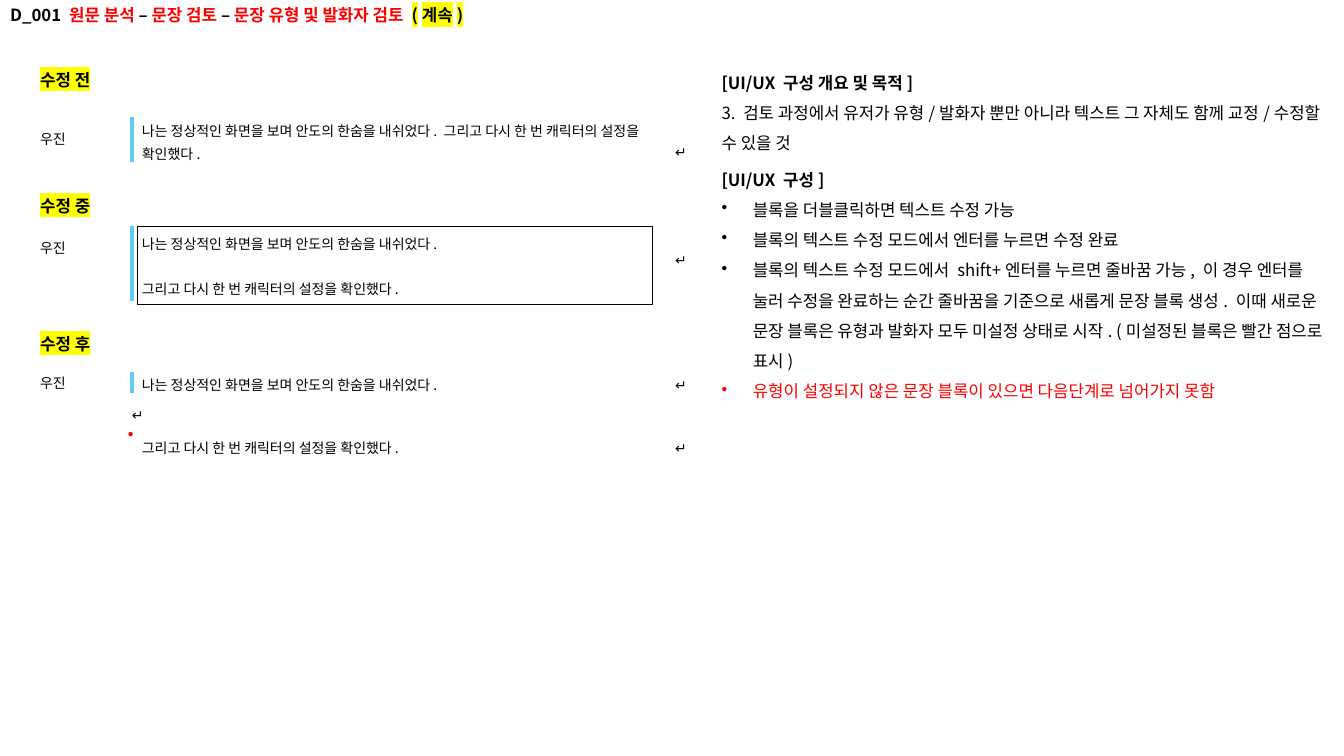
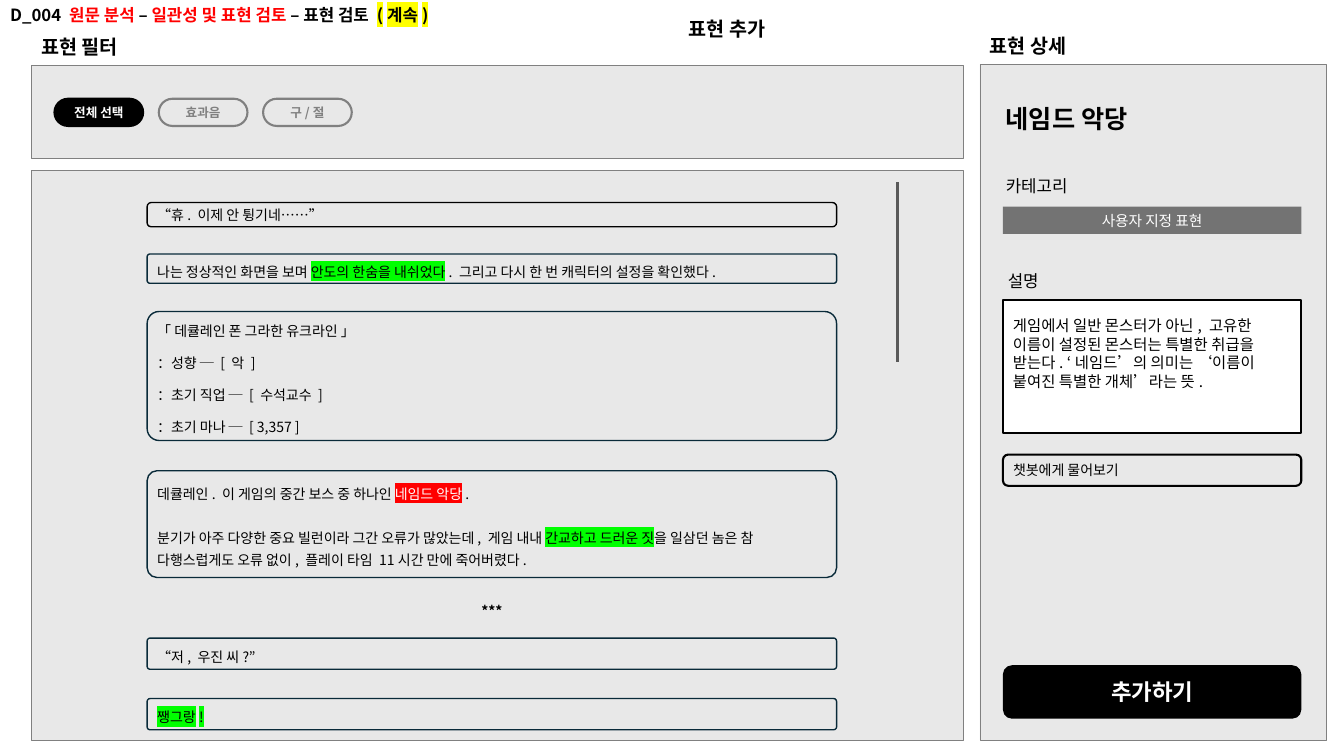
from pptx import Presentation
from pptx.dml.color import RGBColor as RGB
from pptx.enum.shapes import MSO_CONNECTOR as Conn, MSO_SHAPE as Geo
from pptx.enum.text import MSO_ANCHOR as Anchor, MSO_AUTO_SIZE as Fit, PP_ALIGN as Align
from pptx.oxml.ns import qn
from pptx.util import Inches, Pt
from lxml.etree import SubElement as Sub

FONT = "Noto Sans CJK KR"
BLACK = RGB(0x00, 0x00, 0x00)
WHITE = RGB(0xFF, 0xFF, 0xFF)
RED = RGB(0xFF, 0x00, 0x00)
YELLOW = RGB(0xFF, 0xFF, 0x00)
GREEN = RGB(0x00, 0xFF, 0x00)
SKY = RGB(0x61, 0xCB, 0xF4)
PANEL = RGB(0xE8, 0xE8, 0xE8)
GRAY = RGB(0x80, 0x80, 0x80)
DARK = RGB(0x59, 0x59, 0x59)
NAVY = RGB(0x09, 0x2A, 0x39)

# The grid has ten columns and ten rows to the inch
COLS, ROWS = 133.33, 75
LEAD = Pt(16)
BEND = 0.093


def cell(n):
    return Inches(n / 10)


def place(box):
    return [cell(n) for n in box]


# Text: a paragraph is a string or a list of (text, colour, highlight)
def write(frame, paras, size=10, color=BLACK, bold=False, align=Align.LEFT,
          anchor=Anchor.TOP, lead=None, gap=0):
    frame.word_wrap = True
    frame.auto_size = Fit.NONE
    frame.vertical_anchor = anchor
    for i, runs in enumerate(paras):
        para = frame.add_paragraph() if i else frame.paragraphs[0]
        para.alignment = align
        if lead:
            para.line_spacing = lead
        if i and gap:
            para.space_before = Pt(gap)
        font = para.font
        font.size, font.bold, font.name = Pt(size), bold, FONT
        font.color.rgb = color
        Sub(para._p.pPr.find(qn("a:defRPr")), qn("a:ea"), typeface=FONT)
        for text, tint, mark in [(runs, None, None)] if isinstance(runs, str) else runs:
            run = para.add_run()
            run.text = text
            if tint is not None:
                run.font.color.rgb = tint
            if mark is not None:
                glow = Sub(run._r.get_or_add_rPr(), qn("a:highlight"))
                Sub(glow, qn("a:srgbClr"), val=str(mark))


def label(slide, box, *paras, **style):
    frame = slide.shapes.add_textbox(*place(box)).text_frame
    write(frame, paras, **style)
    return frame


def shape(slide, box, geo=Geo.RECTANGLE, fill=None, line=None, width=1, bend=None):
    item = slide.shapes.add_shape(geo, *place(box))
    item.shadow.inherit = False
    if bend is not None:
        item.adjustments[0] = bend
    if fill is None:
        item.fill.background()
    else:
        item.fill.solid()
        item.fill.fore_color.rgb = fill
    if line is None:
        item.line.fill.background()
    else:
        item.line.color.rgb = line
        item.line.width = Pt(width)
    return item


def bar(slide, x, y, tall, color, width):
    item = slide.shapes.add_connector(Conn.STRAIGHT, *place((x, y, x, y + tall)))
    item.line.color.rgb = color
    item.line.width = Pt(width)
    Sub(item._element.spPr, qn("a:effectLst"))


def start(deck, runs):
    slide = deck.slides.add_slide(deck.slide_layouts[5])
    title = slide.shapes.title
    title.left, title.top, title.width, title.height = place((0, 0, COLS / 2, 3))
    write(title.text_frame, [runs], size=12, bold=True)
    return slide


# Slide 1: one editing stage and one block of notes
def stage(slide, box, name, row, tall, talk, enter, paras, gap=0, frame=False):
    x, y, w, _ = box
    label(slide, (x, y, 15, 3), [(name, None, YELLOW)], size=12, bold=True)
    top = y + row
    label(slide, (x, top + talk, 8, 2.7), "우진")
    if frame:
        shape(slide, (x + 10.6, top + 0.1, 51.1, 7.7), line=BLACK, width=0.75)
    sentence(slide, (x, top, w, tall), paras, enter, gap)
    bar(slide, x + 10.1, top, tall, SKY, 2.5)


def sentence(slide, box, paras, enter, gap=0):
    x, y, w, h = box
    label(slide, (x + 10.1, y, w - 13.7, h), *paras, anchor=Anchor.MIDDLE,
          lead=LEAD, gap=gap)
    label(slide, (x + w - 3, y + enter, 4, 2.7), "↵")


def notes(slide, box, head, paras, dots=False):
    frame = label(slide, box, head, *paras, size=12)
    first, *rest = frame.paragraphs
    first.font.bold = True
    for para in rest:
        para.line_spacing = 1.5
        if dots:
            props = para._p.pPr
            props.set("marL", str(cell(3.1)))
            props.set("indent", str(-cell(3.1)))
            dot = Sub(props, qn("a:buChar"), char="•")
            props.find(qn("a:defRPr")).addprevious(dot)


def edit_slide(deck):
    slide = start(deck, [
        ("D_001 ", None, None), ("원문 분석 ", RED, None), ("– ", None, None),
        ("문장 검토 ", RED, None), ("– ", None, None),
        ("문장 유형 및 발화자 검토 ", RED, None), ("(계속)", None, YELLOW)])
    one = "나는 정상적인 화면을 보며 안도의 한숨을 내쉬었다."
    two = "그리고 다시 한 번 캐릭터의 설정을 확인했다."

    # Stages before, during and after the edit
    x, w = 3, 66
    stage(slide, (x, 6.4, w, 10), "수정 전", 5.2, 4.5, 0.9, 2.1, [f"{one} {two}"])
    stage(slide, (x, 18.9, w, 12), "수정 중", 3.5, 7.5, 0.9, 2.1, [one, two],
          gap=16, frame=True)
    stage(slide, (x, 32.6, w, 7), "수정 후", 4.3, 2.1, -0.2, 0, [one])
    label(slide, (x + 9.1, 39.8, 4, 2.7), "↵")
    label(slide, (x + 8.7, 41.4, 4, 3), "•", size=12, color=RED)
    sentence(slide, (x, 43.1, w, 2.1), [two], 0)

    # Notes on the right
    left = 70.6
    wide = COLS - left
    notes(slide, (left, 6.7, wide, 8.7), "[UI/UX 구성 개요 및 목적]", [
        "3. 검토 과정에서 유저가 유형/발화자 뿐만 아니라 텍스트 그 자체도 함께 "
        "교정/수정할 수 있을 것"])
    notes(slide, (left, 16.3, wide, 23.8), "[UI/UX 구성]", [
        "블록을 더블클릭하면 텍스트 수정 가능",
        "블록의 텍스트 수정 모드에서 엔터를 누르면 수정 완료",
        "블록의 텍스트 수정 모드에서 shift+엔터를 누르면 줄바꿈 가능, 이 경우 엔터를 "
        "눌러 수정을 완료하는 순간 줄바꿈을 기준으로 새롭게 문장 블록 생성. 이때 새로운 "
        "문장 블록은 유형과 발화자 모두 미설정 상태로 시작. (미설정된 블록은 빨간 점으로 표시)",
        [("유형이 설정되지 않은 문장 블록이 있으면 다음단계로 넘어가지 못함", RED, None)],
    ], dots=True)


# Slide 2: filter, text and detail panels
def panel(slide, box, head=None):
    x, y, _, _ = box
    shape(slide, box, fill=PANEL, line=GRAY, width=0.25)
    if head:
        label(slide, (x, y - 3.5, 15, 3.4), head, size=14, bold=True)


def card(slide, box, paras, line=NAVY, width=1, bend=BEND, lead=LEAD, gap=0):
    item = shape(slide, box, Geo.ROUNDED_RECTANGLE, line=line, width=width, bend=bend)
    # The rounded corner already indents the text
    item.text_frame.margin_left = cell(1 - 0.29 * bend * box[3])
    write(item.text_frame, paras, anchor=Anchor.MIDDLE, lead=lead, gap=gap)


def button(slide, box, text, geo=Geo.ROUNDED_RECTANGLE, fill=None, line=None,
           bend=None, **style):
    item = shape(slide, box, geo, fill, line, 1.5, bend)
    write(item.text_frame, [text], align=Align.CENTER, anchor=Anchor.MIDDLE, **style)
    return item


def filters(slide, box):
    x, y, _, _ = box
    panel(slide, box, "표현 필터")
    for i, text in enumerate(["전체 선택", "효과음", "구/절"]):
        spot = (x + 2.3 + 10.35 * i, y + 3.3, 8.8, 2.7)
        edge, ink = (GRAY, GRAY) if i else (BLACK, WHITE)
        button(slide, spot, text, fill=None if i else BLACK, line=edge, bend=0.5,
               size=9, bold=True, color=ink)


def story(slide, box):
    x, y, w, _ = box
    panel(slide, box)
    left, wide = x + 11.5, 68.4
    card(slide, (left, y + 3.2, wide, 2.4), ["“휴. 이제 안 튕기네……”"],
         line=BLACK, bend=0.17, lead=None)
    cards = [
        (8.3, 2.9, 0, [[
            ("나는 정상적인 화면을 보며 ", None, None),
            ("안도의 한숨을 내쉬었다", None, GREEN),
            (". 그리고 다시 한 번 캐릭터의 설정을 확인했다.", None, None)]]),
        (14, 12.8, 6.8, [
            "「 데큘레인 폰 그라한 유크라인 」", "：성향 ─ [ 악 ]",
            "：초기 직업 ─ [ 수석교수 ]", "：초기 마나 ─ [ 3,357 ]"]),
        (29.8, 10.6, 15.5, [
            [("데큘레인. 이 게임의 중간 보스 중 하나인 ", None, None),
             ("네임드 악당", WHITE, RED), (".", None, None)],
            [("분기가 아주 다양한 중요 빌런이라 그간 오류가 많았는데, 게임 내내 ", None, None),
             ("간교하고 드러운 짓", None, GREEN),
             ("을 일삼던 놈은 참 다행스럽게도 오류 없이, 플레이 타임 11시간 만에 "
              "죽어버렸다.", None, None)]]),
        (46.4, 3.1, 0, ["“저, 우진 씨?”"]),
        (52.4, 3.1, 0, [[("쨍그랑!", None, GREEN)]]),
    ]
    for row, tall, gap, paras in cards:
        card(slide, (left, y + row, wide, tall), paras, gap=gap)
    label(slide, (left, y + 42.4, wide, 2.7), "***", bold=True, align=Align.CENTER)
    bar(slide, x + w - 6.6, y + 1.2, 17.8, DARK, 2.25)


def detail(slide, box):
    x, y, w, _ = box
    panel(slide, box, "표현 상세")
    left, wide = x + 2.3, w - 4.8
    label(slide, (x + 1.6, y + 3.4, wide, 4), "네임드 악당", size=18, bold=True)
    # Category and description
    label(slide, (x + 1.6, y + 10.5, wide, 3), "카테고리", size=12)
    tag = button(slide, (left, y + 14.1, wide, 2.7), "사용자 지정 표현",
                 Geo.RECTANGLE, BLACK, size=10.5, color=WHITE)
    tone = tag._element.spPr.find(qn("a:solidFill"))[0]
    Sub(tone, qn("a:alpha"), val="50000")
    label(slide, (x + 1.8, y + 20, wide, 3), "설명", size=12)
    shape(slide, (left, y + 23.4, wide, 13.2), fill=WHITE, line=BLACK, width=1.5)
    label(slide, (left, y + 24.5, wide, 8.4),
          "게임에서 일반 몬스터가 아닌, 고유한 이름이 설정된 몬스터는 특별한 취급을 받는다. "
          "‘네임드’의 의미는 ‘이름이 붙여진 특별한 개체’라는 뜻.", size=11)
    # Question field and add button
    card(slide, (left, y + 38.7, wide, 3.1), ["챗봇에게 물어보기"], line=BLACK,
         width=1.5, bend=0.17, lead=None)
    button(slide, (left, y + 59.6, wide, 5.3), "추가하기", fill=BLACK, size=16,
           bold=True, color=WHITE)


def phrase_slide(deck):
    slide = start(deck, [
        ("D_004 ", None, None), ("원문 분석 ", RED, None), ("– ", None, None),
        ("일관성 및 표현 검토 ", RED, None), ("– 표현 검토 ", None, None),
        ("(계속)", None, YELLOW)])
    label(slide, (51.9, 0, 40.5, 4.1), "표현 추가", size=14, bold=True,
          align=Align.CENTER, lead=1.5)
    filters(slide, (3.1, 6.5, 92.5, 9.2))
    story(slide, (3.1, 16.9, 92.5, 56.5))
    detail(slide, (97.2, 6.4, 34.4, 67))


def main():
    deck = Presentation()
    deck.slide_width, deck.slide_height = cell(COLS), cell(ROWS)
    edit_slide(deck)
    phrase_slide(deck)
    deck.save("out.pptx")


if __name__ == "__main__":
    main()
